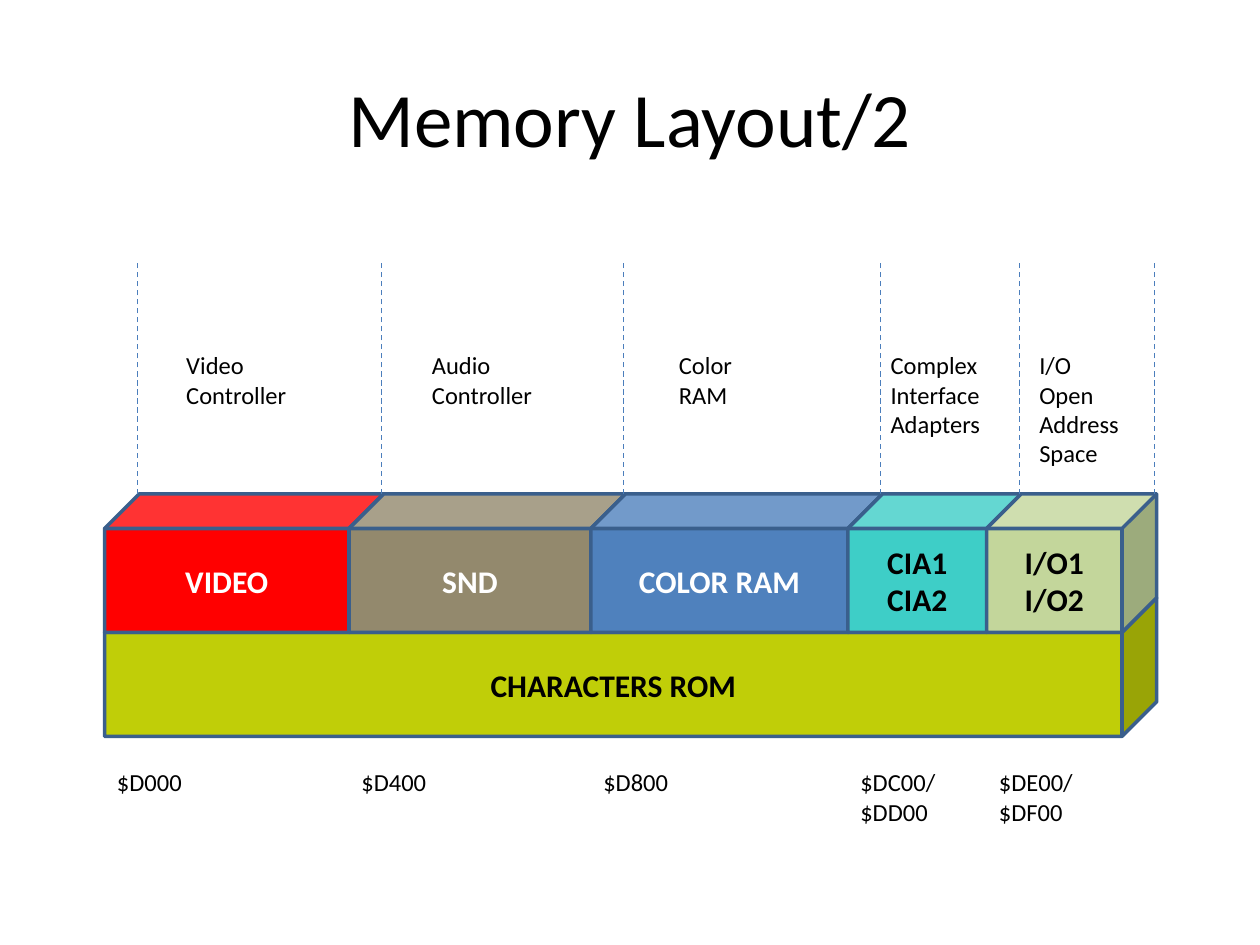
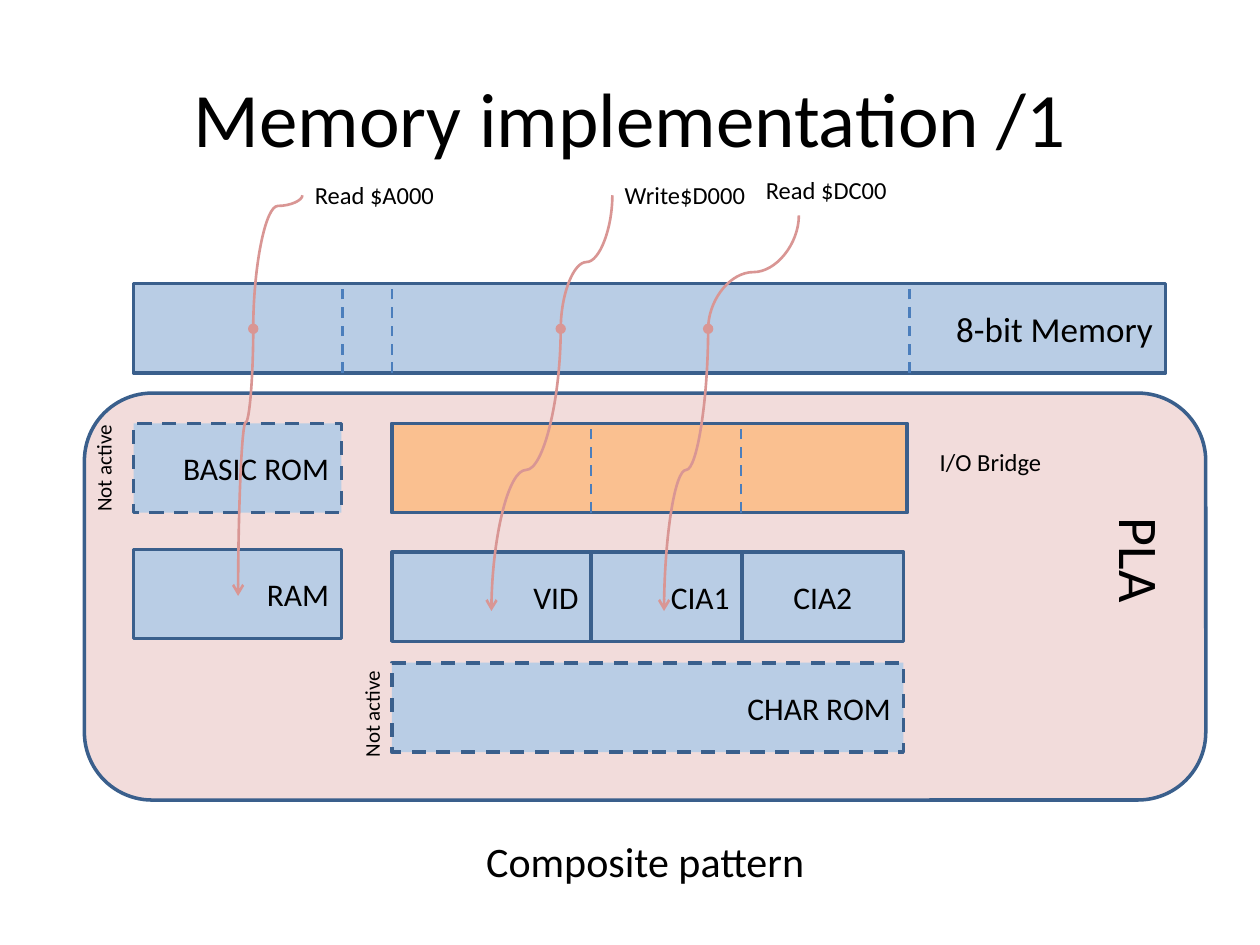
from dataclasses import dataclass

from lxml import etree
from pptx import Presentation
from pptx.dml.color import RGBColor
from pptx.enum.dml import MSO_LINE
from pptx.enum.shapes import MSO_CONNECTOR, MSO_SHAPE
from pptx.enum.text import MSO_ANCHOR, MSO_AUTO_SIZE, PP_ALIGN
from pptx.oxml.ns import qn
from pptx.util import Inches, Pt

CUBE, RECT, ROUND = MSO_SHAPE.CUBE, MSO_SHAPE.RECTANGLE, MSO_SHAPE.ROUNDED_RECTANGLE
STRAIGHT, CURVE = MSO_CONNECTOR.STRAIGHT, MSO_CONNECTOR.CURVE
LEFT, CENTER, RIGHT = PP_ALIGN.LEFT, PP_ALIGN.CENTER, PP_ALIGN.RIGHT
MIDDLE = MSO_ANCHOR.MIDDLE
GROW = MSO_AUTO_SIZE.SHAPE_TO_FIT_TEXT
DASH = MSO_LINE.DASH

FONT = "Calibri"
BLACK, WHITE = "000000", "FFFFFF"
OUTLINE, GUIDE, CALL = "3A5F8C", "4B7EBC", "D99694"
CELL, BRIDGE, PLA = "B9CDE5", "FAC090", "F2DCDB"
COLUMNS, ROWS = 100, 75
SLIDE_W, SLIDE_H = Inches(10), Inches(7.5)


@dataclass
class Box:
    """A region measured in grid columns and rows."""
    x: float
    y: float
    w: float
    h: float

    def inner(self, x, y, w, h):
        """Return a box offset from this one's top left corner."""
        return Box(self.x + x, self.y + y, w, h)

    def emu(self):
        """Return left, top, width and height in slide units."""
        return col(self.x), row(self.y), col(self.w), row(self.h)


def col(n):
    """Convert grid columns to slide units."""
    return round(SLIDE_W * n / COLUMNS)


def row(n):
    """Convert grid rows to slide units."""
    return round(SLIDE_H * n / ROWS)


def rgb(value):
    """Turn a hex string into a colour."""
    return RGBColor.from_string(value)


def write(tf, text, size, color=BLACK, bold=False, align=LEFT):
    """Set the text of a frame and format every run."""
    tf.text = text
    for p in tf.paragraphs:
        p.alignment = align
        for r in p.runs:
            r.font.name, r.font.size, r.font.bold = FONT, Pt(size), bold
            r.font.color.rgb = rgb(color)


def block(s, kind, box, fill, text="", size=18, color=BLACK, bold=False,
          align=CENTER, dashed=False):
    """Draw an outlined preset shape with optional text."""
    sp = s.shapes.add_shape(kind, *box.emu())
    sp.shadow.inherit = False
    sp.fill.solid()
    sp.fill.fore_color.rgb = rgb(fill)
    sp.line.color.rgb = rgb(OUTLINE)
    sp.line.width = Pt(2)
    if dashed:
        sp.line.dash_style = DASH
    if text:
        sp.text_frame.vertical_anchor = MIDDLE
        write(sp.text_frame, text, size, color, bold, align)


def label(s, box, text, size=14, wrap=False, rotation=0):
    """Draw a plain text box."""
    sp = s.shapes.add_textbox(*box.emu())
    sp.rotation = rotation
    tf = sp.text_frame
    tf.word_wrap = wrap
    tf.auto_size = GROW
    write(tf, text, size)


def connect(s, kind, x1, y1, x2, y2, color, width):
    """Draw a connector without a shadow."""
    line = s.shapes.add_connector(kind, col(x1), row(y1), col(x2), row(y2))
    line.line.color.rgb = rgb(color)
    line.line.width = Pt(width)
    etree.SubElement(line._element.spPr, qn("a:effectLst"))
    return line


def guide(s, x, top, bottom, width):
    """Draw a vertical dashed guide."""
    connect(s, STRAIGHT, x, bottom, x, top, GUIDE, width).line.dash_style = DASH


def curve(s, start, end, bend, tail):
    """Draw an S curve that leaves downwards and ends to the left."""
    (x1, y1), (x2, y2) = start, end
    cx, cy = (x1 + x2) / 2, (y1 + y2) / 2
    half_w, half_h = (y2 - y1) / 2, (x1 - x2) / 2
    line = connect(s, CURVE, cx - half_w, cy - half_h, cx + half_w, cy + half_h, CALL, 1.5)
    sp_pr = line._element.spPr
    sp_pr.find(qn("a:xfrm")).set("rot", "5400000")
    geom = sp_pr.find(qn("a:prstGeom"))
    for old in geom.findall(qn("a:avLst")):
        geom.remove(old)
    adjust = etree.SubElement(geom, qn("a:avLst"))
    etree.SubElement(adjust, qn("a:gd"), name="adj1", fmla=f"val {round(bend * 100000)}")
    etree.SubElement(sp_pr.find(qn("a:ln")), qn("a:tailEnd"), type=tail)


def titled_slide(prs, text):
    """Add a slide with the shared title style."""
    s = prs.slides.add_slide(prs.slide_layouts[5])
    title = s.shapes.title
    title.left, title.top, title.width, title.height = Box(5, 3, 90, 12.5).emu()
    title.text_frame.vertical_anchor = MIDDLE
    write(title.text_frame, text, 44, align=CENTER)
    return s


def memory_map(s, box):
    """Draw the chip cubes on the ROM, with guides, captions and addresses."""
    chips = [
        (0, "VIDEO", "FF0000", WHITE, "$D000", 5.5, "Video Controller"),
        (19.4, "SND", "93896D", WHITE, "$D400", 25, "Audio Controller"),
        (38.6, "COLOR RAM", "4F81BD", WHITE, "$D800", 44.6, "Color\vRAM"),
        (59, "CIA1\nCIA2", "3ECEC7", BLACK, "$DC00/\v$DD00", 61.4,
         "Complex\vInterface\vAdapters"),
        (70, "I/O1\nI/O2", "C3D69B", BLACK, "$DE00/\v$DF00", 73.2,
         "I/O\vOpen Address Space"),
    ]
    depth, cube_h, cube_top = 2.75, 11, 18.4
    edges = [chip[0] for chip in chips] + [box.w - depth]
    block(s, CUBE, box.inner(0, cube_top + cube_h - depth, box.w, cube_h), "C0CE08",
          "CHARACTERS ROM", bold=True)
    for (x, name, fill, color, address, caption_x, caption), end in zip(chips, edges[1:]):
        block(s, CUBE, box.inner(x, cube_top, end - x + depth, cube_h), fill, name,
              color=color, bold=True)
        label(s, box.inner(x, 39.6, 11, 3.4), address, wrap=True)
        label(s, box.inner(caption_x, 6.5, 11, 5.7), caption, wrap=True)
    for x in edges:
        guide(s, box.x + x + 2.6, box.y, box.y + cube_top, 0.75)


def address_bar(s, box):
    """Draw the memory bar split into address ranges."""
    block(s, RECT, box, CELL, "8-bit Memory", 20, align=RIGHT)
    for x in (16.6, 20.5, 61.6):
        guide(s, box.x + x, box.y, box.y + box.h, 1.5)


def pla_panel(s, box):
    """Draw the panel with its ROM, RAM, bridge and chip cells."""
    cell_h, bridge_x, bridge_y = 7.1, 24.4, 2.4
    cells = [
        (3.9, bridge_y, 16.5, CELL, "BASIC ROM", RIGHT, True),
        (3.9, 12.4, 16.5, CELL, "RAM", RIGHT, False),
        (bridge_x, bridge_y, 40.9, BRIDGE, "", CENTER, False),
        (bridge_x, 12.6, 15.8, CELL, "VID", RIGHT, False),
        (40.2, 12.6, 12, CELL, "CIA1", RIGHT, False),
        (52.2, 12.6, 12.8, CELL, "CIA2", CENTER, False),
        (bridge_x, 21.4, 40.6, CELL, "CHAR ROM", RIGHT, True),
    ]
    block(s, ROUND, box, PLA)
    for x, y, w, fill, text, align, dashed in cells:
        block(s, RECT, box.inner(x, y, w, cell_h), fill, text, align=align, dashed=dashed)
    for x in (40.2, 52.1):
        guide(s, box.x + x, box.y + bridge_y, box.y + bridge_y + cell_h, 1.5)
    for x, y in ((-3, 4.4), (18.3, 23.9)):
        label(s, box.inner(x, y, 9, 3), "Not active", 12, rotation=270)
    label(s, box.inner(66.9, 3.8, 10.1, 3.4), "I/O Bridge")
    label(s, box.inner(79.5, 10.1, 8.8, 6.4), "PLA", 32, rotation=90)


def access_calls(s, box):
    """Draw each access as a curve to the bar and on to its target cell."""
    calls = [
        ("Read $A000", (3.9, 0.4), (3.9, 2.1), (0, 12.7), (-1.2, 33.9), 0.08, 0.35),
        ("Write$D000", (28.5, 0.4), (28.5, 2.1), (24.4, 12.7), (18.9, 35.1), 0.5, 0.5),
        ("Read $DC00", (39.7, 0), (43.3, 3.7), (36.1, 12.7), (32.6, 35.1), 0.5, 0.5),
    ]
    for text, (x, y), *points, bend_in, bend_out in calls:
        start, bar, target = [(box.x + px, box.y + py) for px, py in points]
        curve(s, start, bar, bend_in, "oval")
        curve(s, bar, target, bend_out, "arrow")
        label(s, box.inner(x, y, 11.7, 3.4), text)


def layout_slide(prs):
    """Build the memory layout slide."""
    s = titled_slide(prs, "Memory Layout/2")
    memory_map(s, Box(8.3, 20.8, 83.5, 45))


def implementation_slide(prs):
    """Build the memory implementation slide."""
    s = titled_slide(prs, "Memory implementation /1")
    pla_panel(s, Box(6.7, 31.2, 89, 32.3))
    address_bar(s, Box(10.6, 22.5, 81.9, 7.1))
    access_calls(s, Box(20.1, 13.4, 51.4, 35.1))
    label(s, Box(37.6, 65.8, 27.5, 5), "Composite pattern", 24)


def main():
    """Build and save the presentation."""
    prs = Presentation()
    prs.slide_width, prs.slide_height = SLIDE_W, SLIDE_H
    layout_slide(prs)
    implementation_slide(prs)
    prs.save("out.pptx")


if __name__ == "__main__":
    main()
